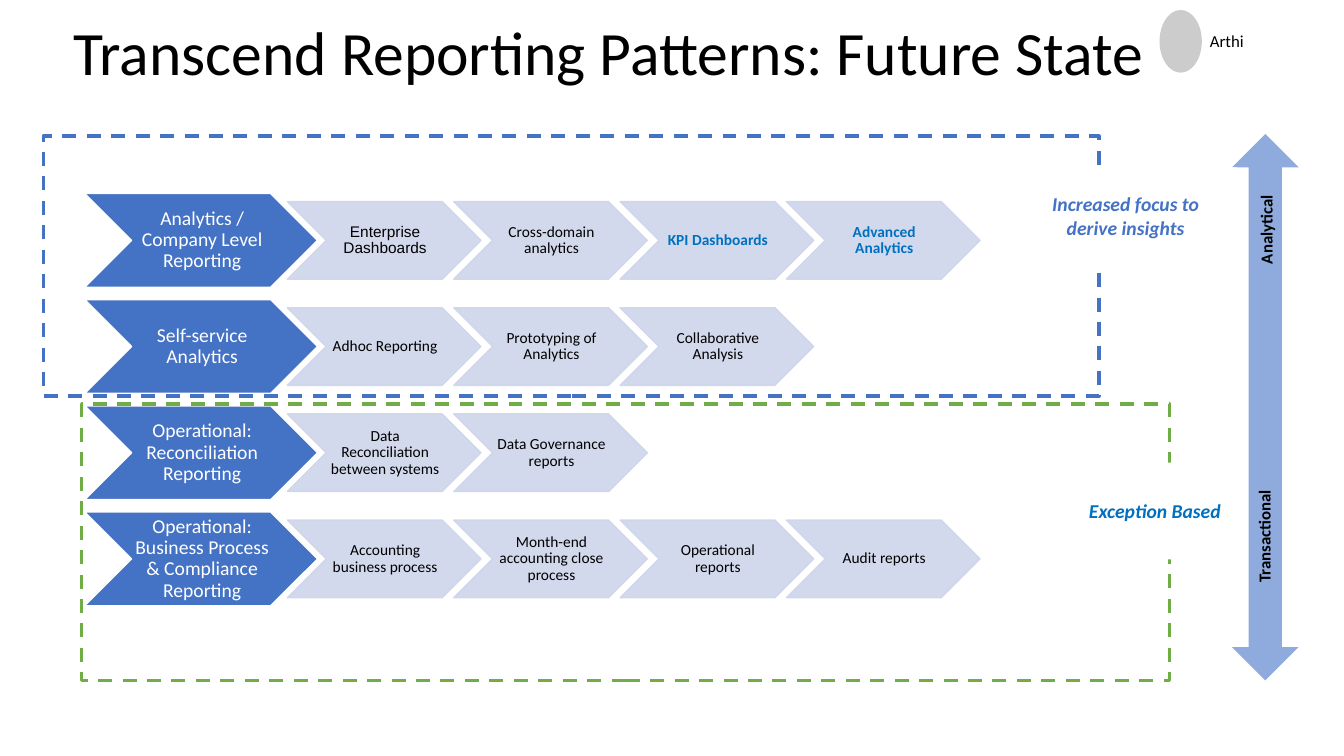
import pptx
import pptx.util
import pptx.dml.color
import pptx.enum.dml
import pptx.enum.shapes
import pptx.enum.text
import pptx.oxml
import pptx.oxml.ns

Inches = pptx.util.Inches
Pt = pptx.util.Pt
RGBColor = pptx.dml.color.RGBColor
SHAPE = pptx.enum.shapes.MSO_SHAPE
ALIGN = pptx.enum.text.PP_ALIGN

BLACK = RGBColor(0x00, 0x00, 0x00)
WHITE = RGBColor(0xFF, 0xFF, 0xFF)
BLUE = RGBColor(0x44, 0x72, 0xC4)
PALE_BLUE = RGBColor(0xCF, 0xD5, 0xEA)
ARROW_BLUE = RGBColor(0x8F, 0xAA, 0xDC)
BRIGHT_BLUE = RGBColor(0x00, 0x70, 0xC0)
GREEN = RGBColor(0x70, 0xAD, 0x47)
GRAY = RGBColor(0xCC, 0xCC, 0xCC)

FIRST_TOP, LAST_TOP = 1.92, 5.08
CATEGORY_LEFT, CATEGORY_WIDTH, CATEGORY_HEIGHT = 0.84, 2.31, 0.93
REPORT_LEFT, REPORT_STEP, REPORT_WIDTH, REPORT_HEIGHT = 2.85, 1.65, 1.92, 0.77
CHEVRON_INSETS = (0.02, 0.01, 0, 0.01)
WIDE_INSETS = (0.2, 0.2, 0.2, 0.2)

PATTERNS = [
    ("Analytics / Company Level Reporting",
     ["Enterprise Dashboards", "Cross-domain analytics", "KPI Dashboards", "Advanced Analytics"]),
    ("Self-service Analytics",
     ["Adhoc Reporting", "Prototyping of Analytics", "Collaborative Analysis"]),
    ("Operational: Reconciliation Reporting",
     ["Data Reconciliation between systems", "Data Governance reports"]),
    ("Operational: Business Process & Compliance Reporting",
     ["Accounting business process", "Month-end accounting close process",
      "Operational reports", "Audit reports"]),
]
HIGHLIGHTED = {"KPI Dashboards", "Advanced Analytics"}
ARIAL_REPORTS = {"Enterprise Dashboards"}


def write(shape, text, size, color=BLACK, font="Calibri", bold=False, italic=False,
          align=ALIGN.LEFT, spacing=1.0, insets=(0.1, 0.05, 0.1, 0.05)):
    frame = shape.text_frame
    frame.word_wrap = True
    frame.vertical_anchor = pptx.enum.text.MSO_ANCHOR.MIDDLE
    (frame.margin_left, frame.margin_top,
     frame.margin_right, frame.margin_bottom) = map(Inches, insets)
    paragraph = frame.paragraphs[0]
    paragraph.alignment = align
    paragraph.line_spacing = spacing
    run = paragraph.add_run()
    run.text = text
    run.font.name = font
    run.font.size = Pt(size)
    run.font.bold = bold
    run.font.italic = italic
    run.font.color.rgb = color


def add_label(slide, text, left, top, width, height, vertical=False, **style):
    label = slide.shapes.add_textbox(*map(Inches, (left, top, width, height)))
    write(label, text, **style)
    if vertical:
        label.text_frame._txBody.bodyPr.set("vert", "vert270")


def add_block(slide, kind, left, top, width, height, fill=None, line=None, line_width=1):
    block = slide.shapes.add_shape(kind, *map(Inches, (left, top, width, height)))
    block.shadow.inherit = False
    if fill is None:
        block.fill.background()
    else:
        block.fill.solid()
        block.fill.fore_color.rgb = fill
    if line is None:
        block.line.fill.background()
    else:
        block.line.color.rgb = line
        block.line.width = Pt(line_width)
    return block


def make_translucent(block, percent):
    """Apply the opacity to both fill and outline."""
    for color in block._element.spPr.iter(pptx.oxml.ns.qn("a:srgbClr")):
        alpha = pptx.oxml.parse_xml(
            f'<a:alpha {pptx.oxml.ns.nsdecls("a")} val="{percent * 1000}"/>')
        color.append(alpha)


def add_pattern_row(slide, top, category, reports):
    lead = add_block(slide, SHAPE.CHEVRON, CATEGORY_LEFT, top, CATEGORY_WIDTH,
                     CATEGORY_HEIGHT, fill=BLUE, line=WHITE)
    write(lead, category, size=14, color=WHITE, align=ALIGN.CENTER, spacing=0.9,
          insets=CHEVRON_INSETS)
    report_top = top + (CATEGORY_HEIGHT - REPORT_HEIGHT) / 2
    for column, report in enumerate(reports):
        step = add_block(slide, SHAPE.CHEVRON, REPORT_LEFT + column * REPORT_STEP, report_top,
                         REPORT_WIDTH, REPORT_HEIGHT, fill=PALE_BLUE, line=PALE_BLUE)
        make_translucent(step, 90)
        strong = report in HIGHLIGHTED
        write(step, report, size=11, color=BRIGHT_BLUE if strong else BLACK, bold=strong,
              font="Arial" if report in ARIAL_REPORTS else "Calibri",
              align=ALIGN.CENTER, spacing=0.9, insets=CHEVRON_INSETS)


def add_zone(slide, left, top, width, height, color):
    zone = add_block(slide, SHAPE.RECTANGLE, left, top, width, height,
                     line=color, line_width=2.5)
    zone.line.dash_style = pptx.enum.dml.MSO_LINE.DASH


def add_callout(slide, text, left, top, color):
    callout = add_block(slide, SHAPE.RECTANGLE, left, top, 2.21, 0.96, fill=WHITE)
    write(callout, text, size=14, color=color, bold=True, italic=True,
          align=ALIGN.CENTER, insets=WIDE_INSETS)


def main():
    deck = pptx.Presentation()
    deck.slide_width, deck.slide_height = Inches(13.33), Inches(7.5)
    slide = deck.slides.add_slide(deck.slide_layouts[6])

    add_label(slide, "Transcend Reporting Patterns: Future State",
              0.63, 0.11, 12.07, 0.89, size=44, spacing=0.9)

    # Reporting patterns, one row each
    row_step = (LAST_TOP - FIRST_TOP) / (len(PATTERNS) - 1)
    for row, (category, reports) in enumerate(PATTERNS):
        add_pattern_row(slide, FIRST_TOP + row * row_step, category, reports)

    # Transactional zone
    add_zone(slide, 0.81, 4.01, 10.79, 2.74, GREEN)
    add_callout(slide, "Exception Based", 10.35, 4.59, BRIGHT_BLUE)

    # Scale from transactional to analytical
    add_block(slide, SHAPE.UP_DOWN_ARROW, 12.22, 1.33, 0.66, 5.42, fill=ARROW_BLUE)
    for text, left, top, height in (("Transactional", 12.47, 4.4, 1.58),
                                    ("Analytical", 12.49, 1.54, 1.28)):
        add_label(slide, text, left, top, 0.13, height, vertical=True,
                  size=12, bold=True, insets=(0, 0.2, 0, 0.2))

    # Analytical zone
    add_zone(slide, 0.43, 1.35, 10.47, 2.58, BLUE)
    add_callout(slide, "Increased focus to derive insights", 10.06, 1.66, BLUE)

    # Presenter
    add_block(slide, SHAPE.FLOWCHART_CONNECTOR, 11.5, 0.1, 0.42, 0.62, fill=GRAY)
    add_label(slide, "Arthi", 11.8, 0.21, 1.36, 0.4, size=12, insets=WIDE_INSETS)

    deck.save("out.pptx")


if __name__ == "__main__":
    main()
